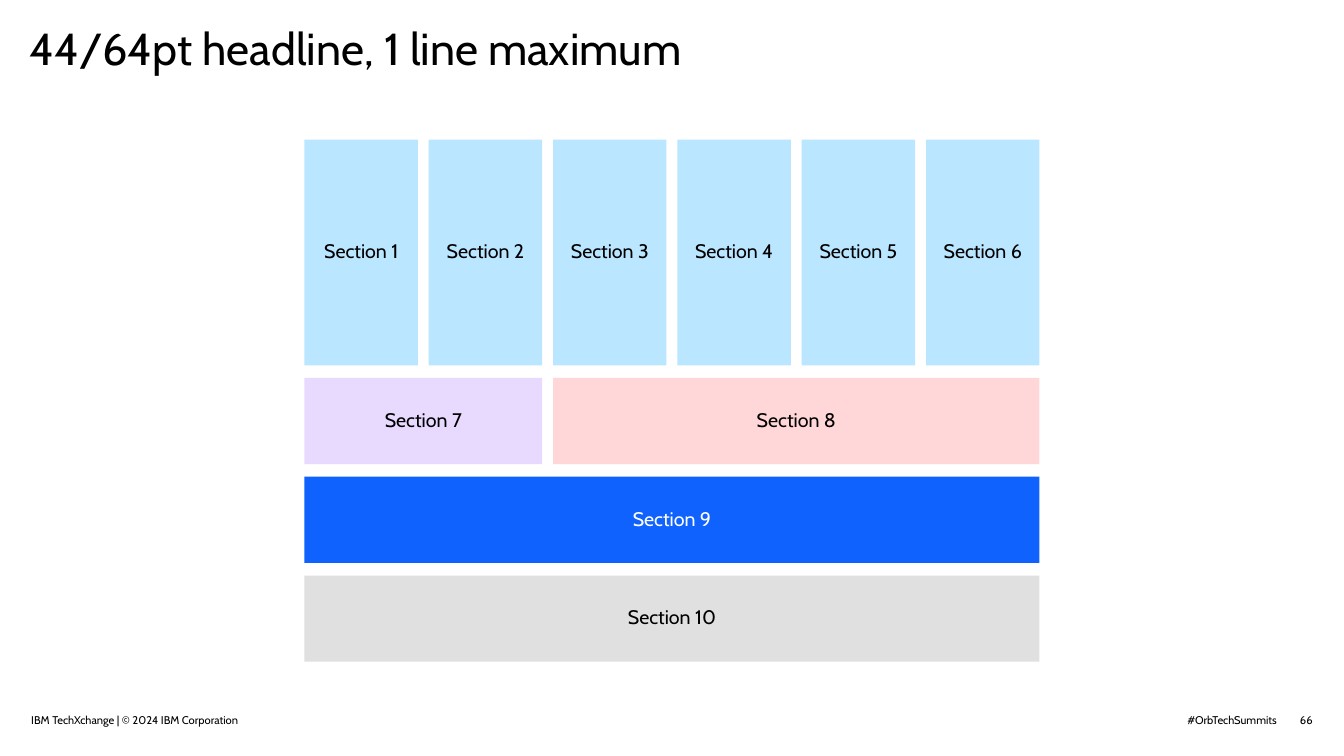
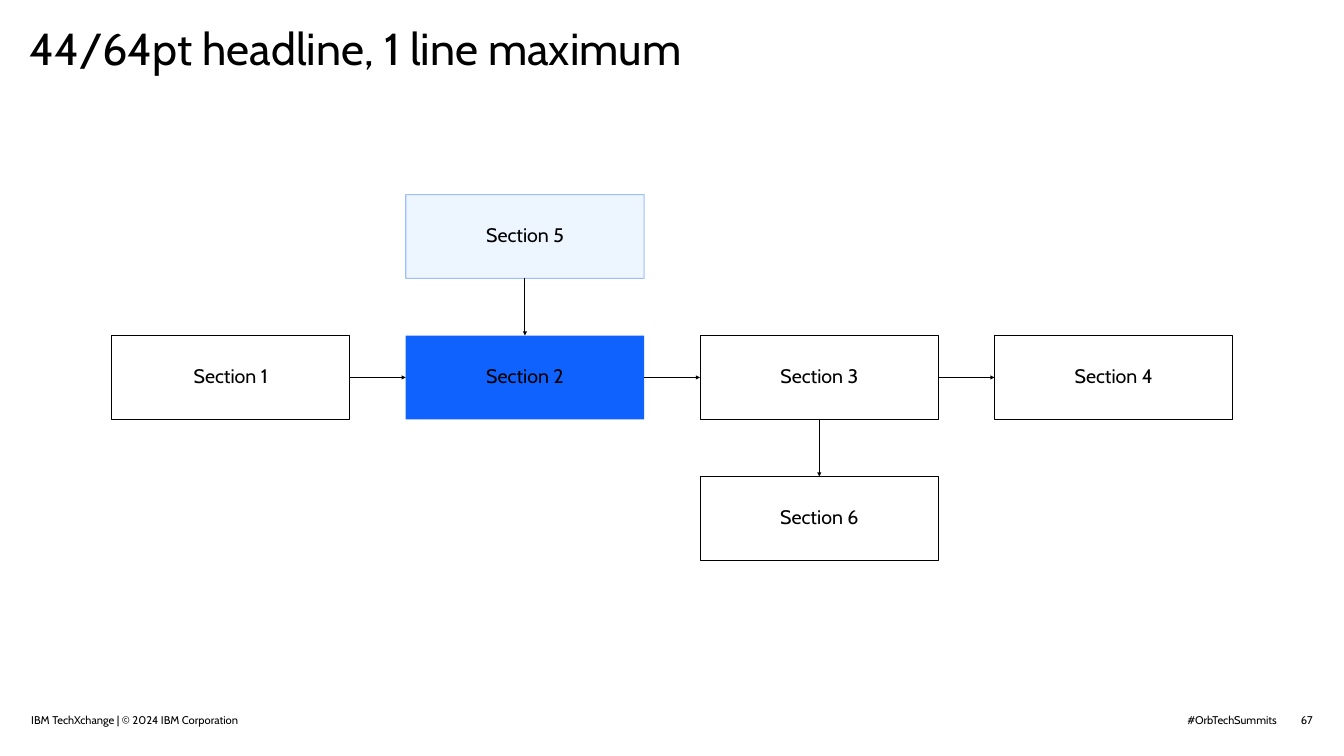
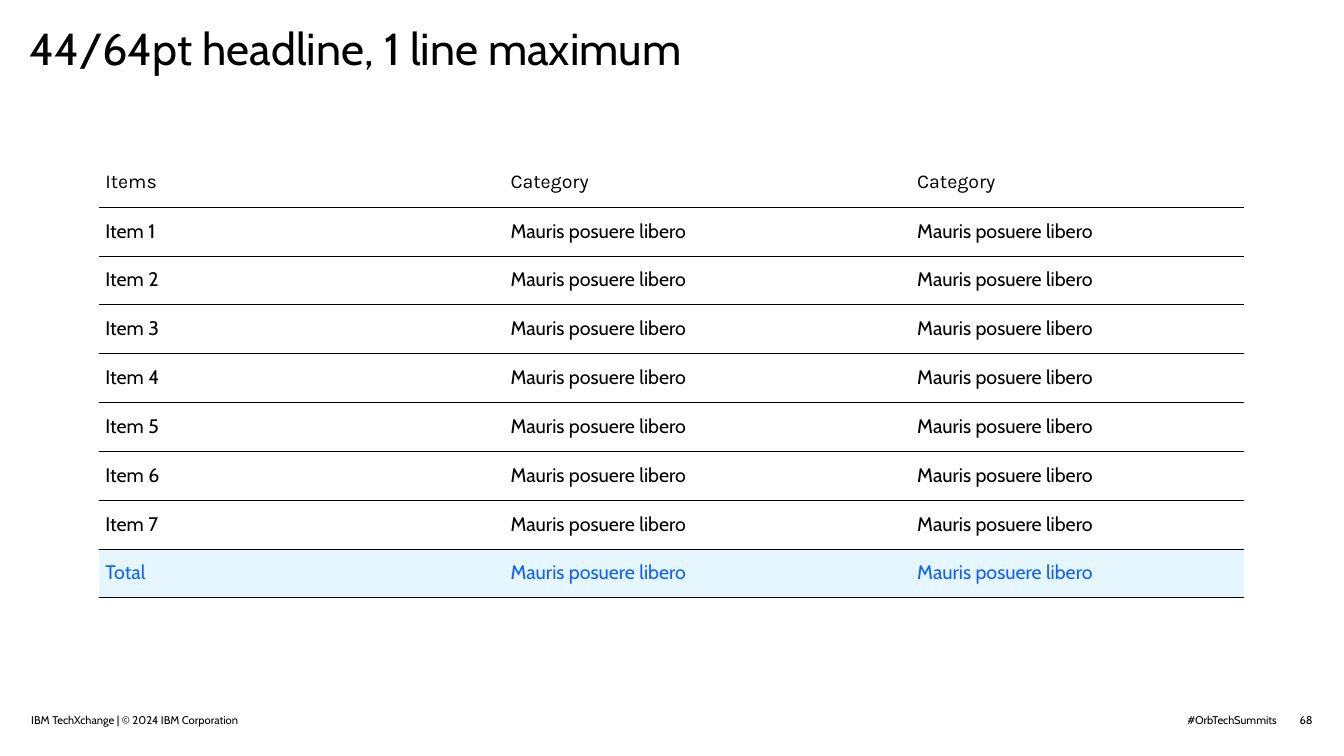
import itertools

import pptx
import pptx.dml.color
import pptx.enum.shapes
import pptx.enum.text
import pptx.oxml
import pptx.oxml.ns
import pptx.util

ALIGN = pptx.enum.text.PP_ALIGN
ANCHOR = pptx.enum.text.MSO_ANCHOR
DRAWING = pptx.oxml.ns.nsdecls("a")

BLACK, WHITE, BLUE = "000000", "FFFFFF", "0F62FE"
SKY, LILAC, ROSE, GREY = "BAE6FF", "E8DAFF", "FFD7D9", "E0E0E0"
PALE_BLUE, TOTAL_FILL = "EDF5FF", "E5F6FF"
TOP, LEFT, BOTTOM, RIGHT = range(4)  # connection sites of a rectangle

HEADLINE = "44/64pt headline, 1 line maximum"
FOOTER = "IBM TechXchange | © 2024 IBM Corporation"
HASHTAG = "#OrbTechSummits"


def color(code):
    return pptx.dml.color.RGBColor.from_string(code)


def write(frame, text, size=28, font="Cabin", ink=BLACK, align=ALIGN.LEFT,
          anchor=ANCHOR.TOP, spacing=None, insets=(0, 0, 0, 0), cell=None):
    """Fill a text frame with one formatted paragraph.

    Insets are left, top, right, bottom; a table cell holds its own insets and anchor.
    """
    frame.word_wrap = True
    frame.auto_size = pptx.enum.text.MSO_AUTO_SIZE.NONE
    holder = cell or frame
    holder.vertical_anchor = anchor
    (holder.margin_left, holder.margin_top,
     holder.margin_right, holder.margin_bottom) = insets
    para = frame.paragraphs[0]
    para.alignment = align
    para.line_spacing = spacing
    span = para.add_run()
    span.text = text
    span.font.size = pptx.util.Pt(size)
    span.font.name = font
    span.font.bold = False
    span.font.color.rgb = color(ink)


class Grid:
    """Columns and rows with even gaps, in percent of the slide's size."""

    def __init__(self, left, top, widths, heights, column_gap, row_gap):
        self.left, self.top = left, top
        self.widths, self.heights = widths, heights
        self.column_gap, self.row_gap = column_gap, row_gap

    @staticmethod
    def stretch(start, tracks, gap, index, count):
        offset = start + sum(tracks[:index]) + gap * index
        return offset, sum(tracks[index:index + count]) + gap * (count - 1)

    def area(self, column, row, columns=1):
        left, width = self.stretch(self.left, self.widths, self.column_gap, column, columns)
        top, height = self.stretch(self.top, self.heights, self.row_gap, row, 1)
        return left, top, width, height


class Deck:
    def __init__(self, first_number):
        self.deck = pptx.Presentation()
        self.deck.slide_width = pptx.util.Inches(26.67)
        self.deck.slide_height = pptx.util.Inches(15)
        self.number = first_number
        self.page = None

    def across(self, percent):
        return round(self.deck.slide_width * percent / 100)

    def down(self, percent):
        return round(self.deck.slide_height * percent / 100)

    def place(self, left, top, width, height):
        return self.across(left), self.down(top), self.across(width), self.down(height)

    def add_page(self, headline):
        """Start a slide with its title, footer, hashtag and number."""
        self.page = self.deck.slides.add_slide(self.deck.slide_layouts[5])
        title = self.page.shapes.title
        title.left, title.top, title.width, title.height = self.place(2.21, 2.8, 60.26, 20.87)
        write(title.text_frame, headline, size=64, insets=(0, 0, self.across(1.87), 0))
        self.label(HASHTAG, (87.44, 94.33, 7.57, 1.8), align=ALIGN.RIGHT)
        self.label(str(self.number), (96.55, 94.33, 1.12, 1.8),
                   align=ALIGN.RIGHT, anchor=ANCHOR.MIDDLE)
        self.label(FOOTER, (2.32, 93.33, 20.32, 2.8), anchor=ANCHOR.BOTTOM)
        self.number += 1

    def label(self, text, area, **style):
        box = self.page.shapes.add_textbox(*self.place(*area))
        write(box.text_frame, text, size=16, **style)

    def block(self, text, area, fill, line=None, opacity=100, ink=BLACK):
        box = self.page.shapes.add_shape(
            pptx.enum.shapes.MSO_SHAPE.RECTANGLE, *self.place(*area))
        box.shadow.inherit = False
        box.fill.solid()
        box.fill.fore_color.rgb = color(fill)
        if line:
            box.line.color.rgb = color(line)
            box.line.width = pptx.util.Pt(1.5)
        else:
            box.line.fill.background()
        if opacity < 100:
            tint = box.line._get_or_add_ln().find(f".//{pptx.oxml.ns.qn('a:srgbClr')}")
            tint.append(pptx.oxml.parse_xml(f'<a:alpha {DRAWING} val="{opacity * 1000}"/>'))
        write(box.text_frame, text, ink=ink, align=ALIGN.CENTER,
              anchor=ANCHOR.MIDDLE, spacing=0.9)
        return box

    def arrow(self, source, source_site, target, target_site):
        link = self.page.shapes.add_connector(
            pptx.enum.shapes.MSO_CONNECTOR.STRAIGHT, 0, 0, 0, 0)
        link.begin_connect(source, source_site)
        link.end_connect(target, target_site)
        link.line.color.rgb = color(BLACK)
        link.line.width = pptx.util.Pt(1.5)
        link.line._get_or_add_ln().append(
            pptx.oxml.parse_xml(f'<a:tailEnd {DRAWING} type="triangle"/>'))
        link._element.spPr.append(pptx.oxml.parse_xml(f"<a:effectLst {DRAWING}/>"))

    def rule_cell(self, cell, above):
        """Draw only the horizontal borders of a cell, the upper one if asked."""
        solid = f'<a:solidFill><a:srgbClr val="{BLACK}"/></a:solidFill>'
        for side, drawn in (("L", False), ("R", False), ("T", above), ("B", True)):
            cell._tc.get_or_add_tcPr().append(pptx.oxml.parse_xml(
                f'<a:ln{side} {DRAWING} w="12700">'
                f'{solid if drawn else "<a:noFill/>"}</a:ln{side}>'))

    def table(self, rows, left, top, widths, row_height):
        """Draw a ruled table with a header row and a highlighted last row."""
        area = (left, top, sum(widths), row_height * len(rows))
        table = self.page.shapes.add_table(len(rows), len(widths), *self.place(*area)).table
        table.first_row = table.horz_banding = False
        for column, width in zip(table.columns, widths):
            column.width = self.across(width)
        insets = (self.across(0.45), self.down(1.6)) * 2
        for index, texts in enumerate(rows):
            table.rows[index].height = self.down(row_height)
            total = index == len(rows) - 1
            for column, text in enumerate(texts):
                cell = table.cell(index, column)
                self.rule_cell(cell, above=index > 0)
                if total:
                    cell.fill.solid()
                    cell.fill.fore_color.rgb = color(TOTAL_FILL)
                else:
                    cell.fill.background()
                write(cell.text_frame, text, font="Cabin" if index else "Karla",
                      ink=BLUE if total else BLACK, insets=insets, cell=cell)

    def save(self):
        self.deck.save("out.pptx")


def add_stack(deck):
    deck.add_page(HEADLINE)
    grid = Grid(22.65, 18.47, [8.44] * 6, [29.85] + [11.4] * 3, 0.81, 1.67)
    sections = [(column, 0, 1, SKY, BLACK) for column in range(6)] + [
        (0, 1, 2, LILAC, BLACK),
        (2, 1, 4, ROSE, BLACK),
        (0, 2, 6, BLUE, WHITE),
        (0, 3, 6, GREY, BLACK),
    ]
    for number, (column, row, columns, fill, ink) in enumerate(sections, 1):
        deck.block(f"Section {number}", grid.area(column, row, columns), fill, ink=ink)


def add_flow(deck):
    deck.add_page(HEADLINE)
    grid = Grid(8.29, 25.75, [17.74] * 4, [11.07] * 3, 4.16, 7.57)
    outlined = {"fill": WHITE, "line": BLACK}
    steps = [
        (0, 1, outlined),
        (1, 1, {"fill": BLUE}),
        (2, 1, outlined),
        (3, 1, outlined),
        (1, 0, {"fill": PALE_BLUE, "line": BLUE, "opacity": 39}),
        (2, 2, outlined),
    ]
    boxes = [deck.block(f"Section {number}", grid.area(column, row), **style)
             for number, (column, row, style) in enumerate(steps, 1)]
    for source, target in itertools.pairwise(boxes[:4]):
        deck.arrow(source, RIGHT, target, LEFT)
    deck.arrow(boxes[4], BOTTOM, boxes[1], TOP)
    deck.arrow(boxes[2], BOTTOM, boxes[5], TOP)


def add_items(deck):
    deck.add_page(HEADLINE)
    names = [f"Item {number}" for number in range(1, 8)] + ["Total"]
    rows = [["Items", "Category", "Category"]]
    rows += [[name] + ["Mauris posuere libero"] * 2 for name in names]
    deck.table(rows, 7.39, 20.93, [30.15, 30.26, 24.78], 6.46)


def main():
    deck = Deck(first_number=66)
    add_stack(deck)
    add_flow(deck)
    add_items(deck)
    deck.save()


if __name__ == "__main__":
    main()
